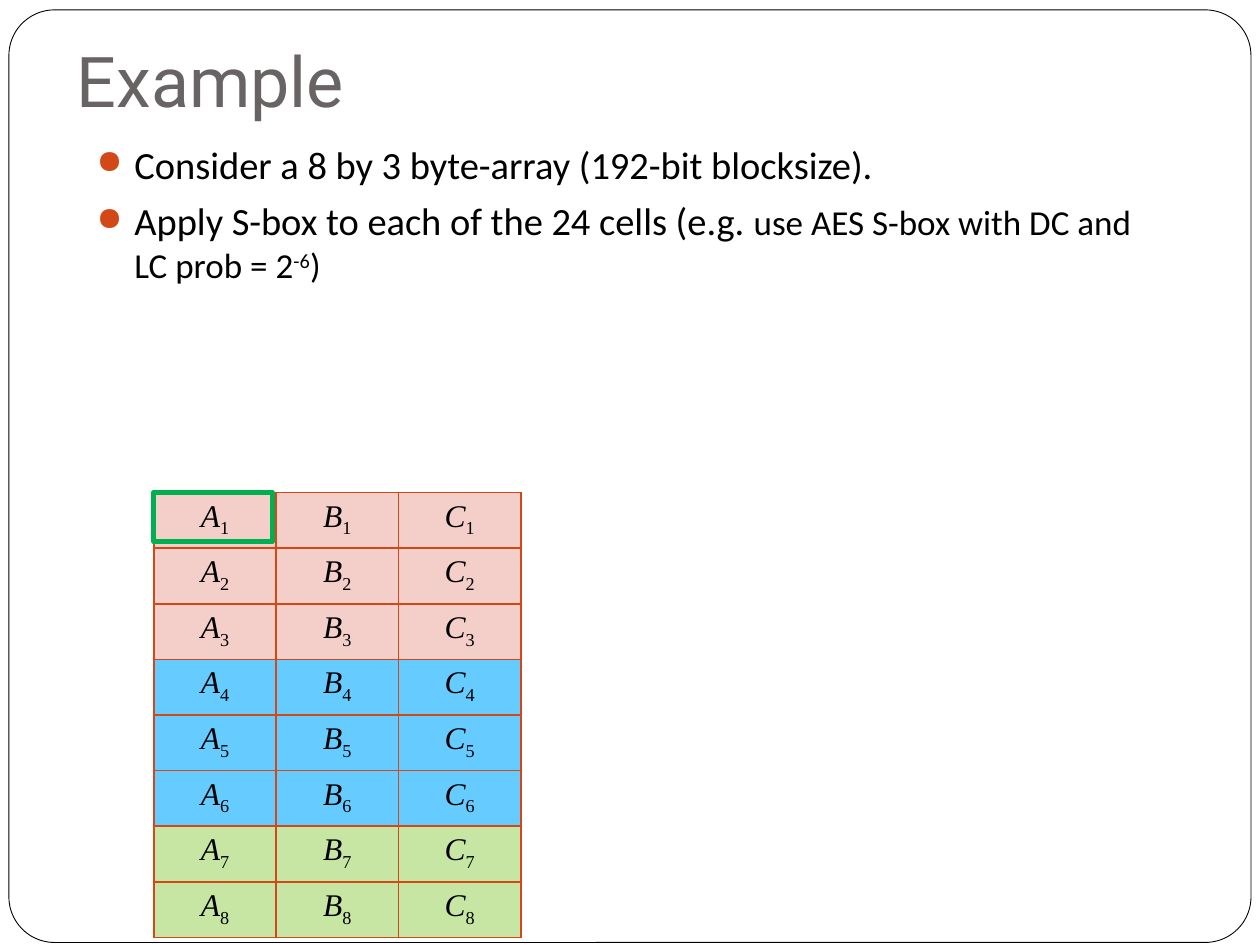
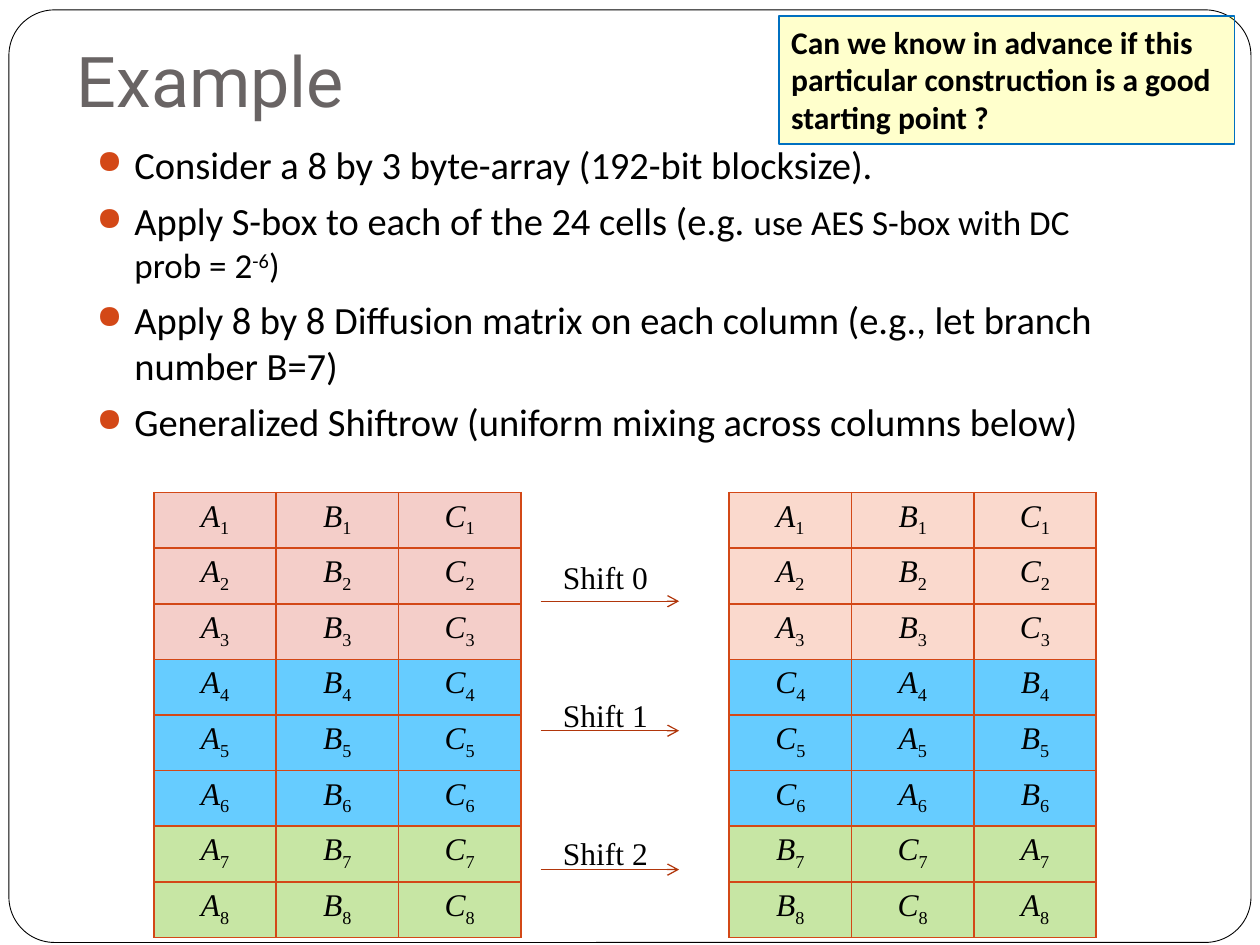
from lxml import etree
from pptx import Presentation
from pptx.dml.color import RGBColor
from pptx.enum import shapes, text
from pptx.oxml import ns
from pptx.util import Cm, Pt

BLACK, RUST, GREY = "000000", "D34817", "696464"
PINK, PEACH, BLUE, LIME = "F4CEC9", "FAD9CD", "66CCFF", "C7E6A4"
SERIF, SANS = "Times New Roman", "Calibri"


def tint(code):
    """Turn a hex string into a colour."""
    return RGBColor.from_string(code)


def write(para, words, size, face, color=BLACK, base=0, bold=False, slant=False):
    """Add one run; base raises or lowers it, in percent."""
    run = para.add_run()
    run.text = words
    font = run.font
    font.size, font.name, font.bold, font.italic = Pt(size), face, bold, slant
    font.color.rgb = tint(color)
    if base:
        run._r.get_or_add_rPr().set("baseline", str(base * 1000))


# Each bullet is a list of (words, size, base) runs.
array = [("Consider a 8 by 3 byte-array (192-bit blocksize).", 22, 0)]
sbox = ("Apply S-box to each of the 24 cells (e.g. ", 22, 0)
power = [("-6", 20, 30), (")", 20, 0)]
pages = [
    {"bullets": [
        array,
        [sbox, ("use AES S-box with DC and LC prob = 2", 20, 0)] + power],
     "grids": [(3.1, PINK, False)]},
    {"bullets": [
        array,
        [sbox, ("use AES S-box with DC prob = 2", 20, 0)] + power,
        [("Apply 8 by 8 Diffusion matrix on each column "
          "(e.g., let branch number B=7)", 22, 0)],
        [("Generalized Shiftrow (uniform mixing across columns below)", 22, 0)]],
     "grids": [(3.1, PINK, False), (14.7, PEACH, True)]},
]

deck = Presentation()
deck.slide_width, deck.slide_height = Cm(25.4), Cm(19.05)
slides = []

for page in pages:
    slide = deck.slides.add_slide(deck.slide_layouts[6])
    slides.append(slide)

    # Rounded frame
    frame = slide.shapes.add_shape(shapes.MSO_SHAPE.ROUNDED_RECTANGLE,
                                   Cm(0.18), Cm(0.2), Cm(25.04), Cm(18.8))
    frame.adjustments[0] = 0.049
    frame.shadow.inherit = False
    frame.fill.solid()
    frame.fill.fore_color.rgb = tint("FFFFFF")
    frame.line.color.rgb = tint(BLACK)
    frame.line.width = Pt(0.5)

    # Title
    title = slide.shapes.add_textbox(Cm(1.3), Cm(0), Cm(21.59), Cm(2.69)).text_frame
    title.word_wrap = True
    title.vertical_anchor = text.MSO_ANCHOR.BOTTOM
    title.margin_bottom = Cm(0.25)
    write(title.paragraphs[0], "Example", 40, "Roboto", GREY)

    # Bullets
    body = slide.shapes.add_textbox(Cm(1.7), Cm(2.72), Cm(21.59), Cm(12.7)).text_frame
    body.word_wrap = True
    for n, bullet in enumerate(page["bullets"]):
        para = body.add_paragraph() if n else body.paragraphs[0]
        para.space_before = Pt(5.8)
        props = para._p.get_or_add_pPr()
        props.set("marL", str(Cm(0.76)))
        props.set("indent", str(-Cm(0.76)))
        mark = etree.SubElement(props, ns.qn("a:buClr"))
        etree.SubElement(mark, ns.qn("a:srgbClr"), val=RUST)
        etree.SubElement(props, ns.qn("a:buSzPct"), val="85000")
        etree.SubElement(props, ns.qn("a:buChar"), char="●")
        for words, size, base in bullet:
            write(para, words, size, SANS, base=base)

    # Byte arrays: rows come in bands of three, band k moves k columns right
    for left, first, moved in page["grids"]:
        grid = slide.shapes.add_table(8, 3, Cm(left), Cm(9.93),
                                      Cm(7.4), Cm(8.24)).table
        grid.first_row = grid.horz_banding = False
        for row in range(8):
            grid.rows[row].height = Cm(1.03)
            band = row // 3
            for col in range(3):
                cell = grid.cell(row, col)
                props = cell._tc.get_or_add_tcPr()
                for side in ("lnL", "lnR", "lnT", "lnB"):
                    edge = etree.SubElement(props, ns.qn("a:" + side), w=str(Pt(1)))
                    paint = etree.SubElement(edge, ns.qn("a:solidFill"))
                    etree.SubElement(paint, ns.qn("a:srgbClr"), val=RUST)
                cell.fill.solid()
                cell.fill.fore_color.rgb = tint((first, BLUE, LIME)[band])
                para = cell.text_frame.paragraphs[0]
                para.alignment = text.PP_ALIGN.CENTER
                letter = "ABC"[(col - band * moved) % 3]
                write(para, letter, 18, SERIF, slant=True)
                write(para, str(row + 1), 18, SERIF, base=-25)

# First slide: outline around the first cell
focus = slides[0].shapes.add_shape(shapes.MSO_SHAPE.RECTANGLE,
                                   Cm(3.1), Cm(9.93), Cm(2.39), Cm(0.99))
focus.shadow.inherit = False
focus.fill.background()
focus.line.color.rgb = tint("00B050")
focus.line.width = Pt(3)

# Second slide: shift labels and arrows
for n, high in enumerate((12.12, 14.73, 17.53)):
    label = slides[1].shapes.add_textbox(Cm(11.1), Cm(11.13 + 2.78 * n),
                                         Cm(3), Cm(1.02)).text_frame
    label.word_wrap = True
    write(label.paragraphs[0], f"Shift {n}", 18, SERIF)
    arrow = slides[1].shapes.add_connector(shapes.MSO_CONNECTOR.STRAIGHT,
                                           Cm(10.9), Cm(high), Cm(13.69), Cm(high))
    arrow.line.color.rgb = tint("B1360B")
    arrow.line.width = Pt(0.75)
    etree.SubElement(arrow.line._get_or_add_ln(), ns.qn("a:tailEnd"), type="arrow")
    etree.SubElement(arrow._element.spPr, ns.qn("a:effectLst"))

# Second slide: question box
note = slides[1].shapes.add_shape(shapes.MSO_SHAPE.RECTANGLE,
                                  Cm(15.7), Cm(0.33), Cm(9.19), Cm(2.57))
note.shadow.inherit = False
note.fill.solid()
note.fill.fore_color.rgb = tint("FFFF00")
shade = note._element.spPr.find(ns.qn("a:solidFill"))[0]
etree.SubElement(shade, ns.qn("a:alpha"), val="20000")
note.line.color.rgb = tint("0070C0")
note.line.width = Pt(1)
note.text_frame.word_wrap = True
note.text_frame.vertical_anchor = text.MSO_ANCHOR.TOP
para = note.text_frame.paragraphs[0]
para.alignment = text.PP_ALIGN.LEFT
write(para, "Can we know in advance if this particular construction is a good "
      "starting point ?", 18, SANS, bold=True)

deck.save("out.pptx")
